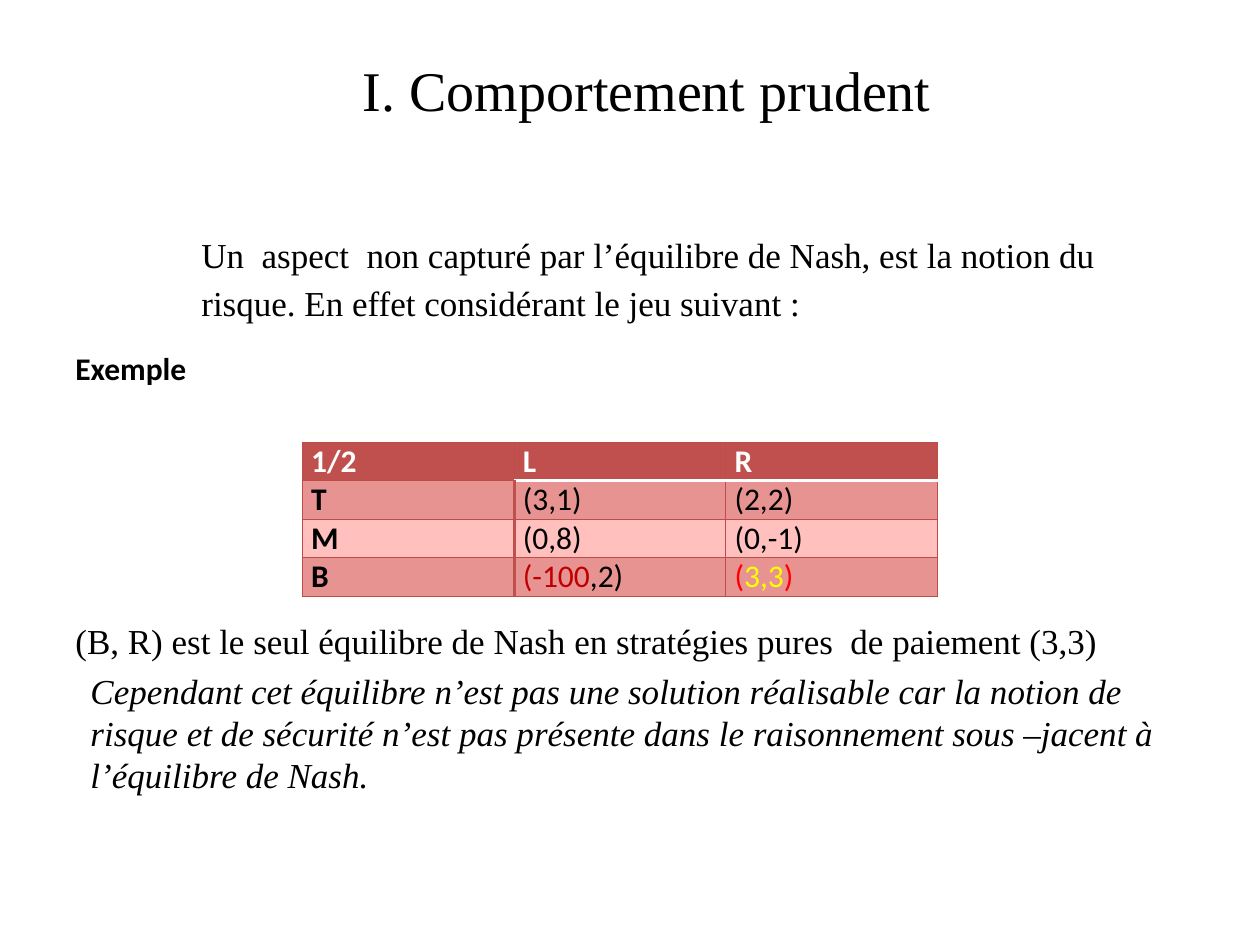
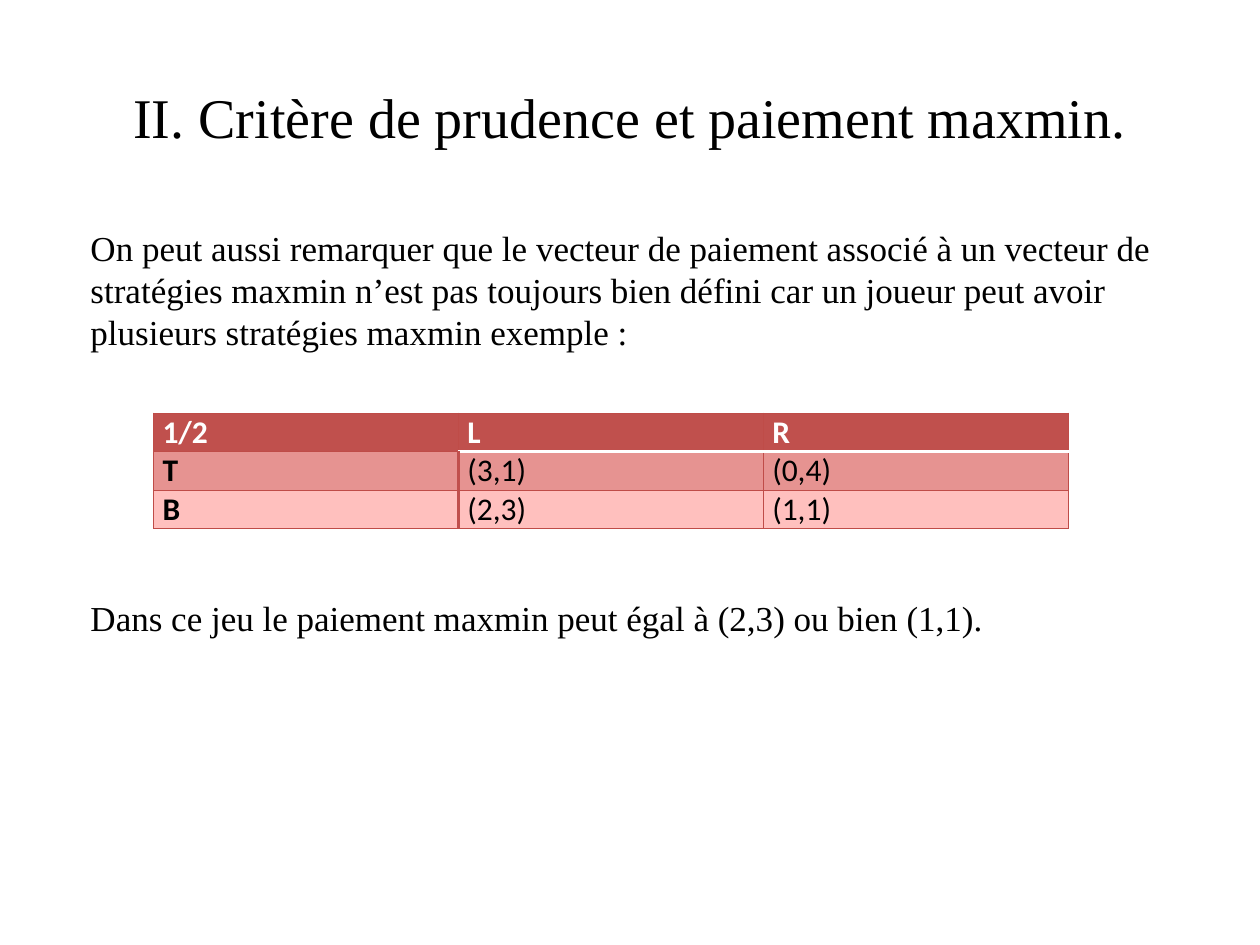
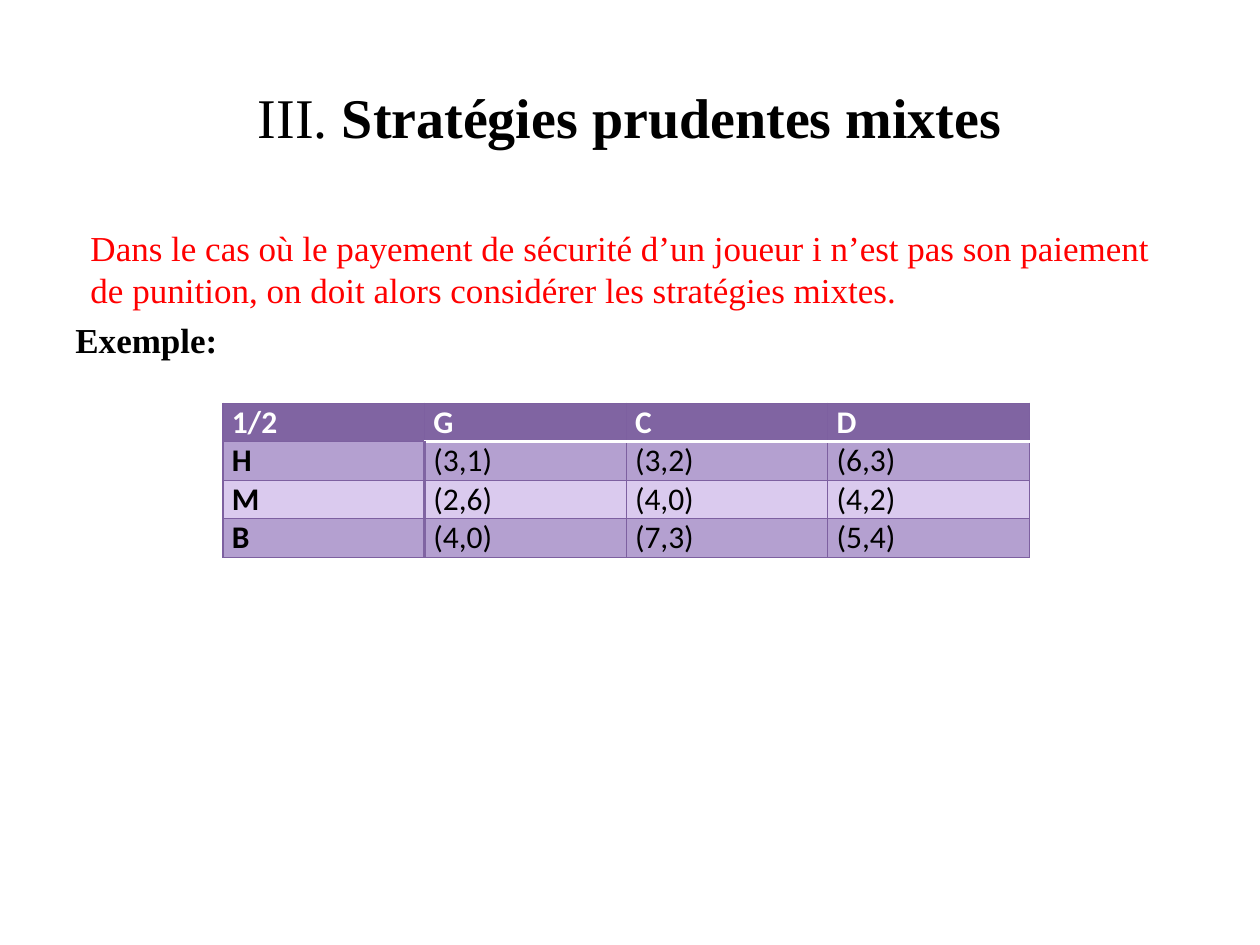
from dataclasses import dataclass

from lxml.etree import SubElement
from pptx import Presentation
from pptx.dml.color import RGBColor
from pptx.enum.text import MSO_ANCHOR as Anchor, MSO_AUTO_SIZE as AutoSize, PP_ALIGN as Align
from pptx.oxml.ns import qn
from pptx.util import Inches, Pt

COLUMNS, ROWS = 100, 75
SLIDE_WIDTH, SLIDE_HEIGHT = Inches(10), Inches(7.5)


@dataclass(frozen=True)
class Palette:
    """Colours of one payoff table."""
    accent: str
    border: str
    dark_band: str
    light_band: str


@dataclass(frozen=True)
class Theme:
    """Fonts, type sizes and colours shared by the slides."""
    serif: str = "Times New Roman"
    sans: str = "Calibri"
    title_size: int = 32
    body_size: int = 20
    table_size: int = 18
    black: str = "000000"
    white: str = "FFFFFF"
    red: str = "FF0000"
    dark_red: str = "C00000"
    yellow: str = "FFFF00"
    crimson: Palette = Palette("C0504D", "BF4C48", "E69391", "FFC0BE")
    violet: Palette = Palette("8064A2", "7D60A0", "B4A0D0", "DACAEE")


THEME = Theme()


@dataclass(frozen=True)
class Box:
    """A rectangle in grid columns and rows."""
    left: float
    top: float
    width: float
    height: float

    def place(self):
        """Return left, top, width and height as slide lengths."""
        column, row = SLIDE_WIDTH / COLUMNS, SLIDE_HEIGHT / ROWS
        return (int(self.left * column), int(self.top * row),
                int(self.width * column), int(self.height * row))


@dataclass(frozen=True)
class Words:
    """A run of text with its look."""
    text: str
    color: str = THEME.black
    bold: bool = False
    italic: bool = False
    font: str = THEME.serif
    size: int = THEME.body_size


@dataclass(frozen=True)
class Block:
    """A body paragraph with its indent in columns and spacing in points."""
    words: Words
    indent: float = 1.2
    before: float = 4.6
    after: float = 0
    line: float = 1


TITLE_BOX = Box(5, 3, 90, 12.5)
BODY_BOX = Box(5, 17.5, 90, 49.5)


def add_words(paragraph, words):
    """Append one formatted run to a paragraph."""
    run = paragraph.add_run()
    run.text = words.text
    font = run.font
    font.name, font.size = words.font, Pt(words.size)
    font.bold, font.italic = words.bold, words.italic
    font.color.rgb = RGBColor.from_string(words.color)


def indent_paragraph(paragraph, columns):
    """Set the left indent of a whole paragraph."""
    properties = paragraph._p.get_or_add_pPr()
    properties.set("marL", str(int(columns * SLIDE_WIDTH / COLUMNS)))
    properties.set("indent", "0")


def add_title(slide, box, parts, indent=0, lift=0):
    """Format the title placeholder, shifted right and up by grid units."""
    title = slide.shapes.title
    title.left, title.top, title.width, title.height = box.place()
    frame = title.text_frame
    frame.auto_size, frame.vertical_anchor = AutoSize.NONE, Anchor.MIDDLE
    frame.margin_bottom = int((0.5 + 2 * lift) * SLIDE_HEIGHT / ROWS)
    paragraph = frame.paragraphs[0]
    paragraph.alignment = Align.CENTER
    indent_paragraph(paragraph, 2 * indent)
    for text, bold in parts:
        add_words(paragraph, Words(text, bold=bold, size=THEME.title_size))


def add_body(slide, box, blocks):
    """Write the body paragraphs in one text box."""
    frame = slide.shapes.add_textbox(*box.place()).text_frame
    frame.word_wrap, frame.auto_size = True, AutoSize.NONE
    for index, block in enumerate(blocks):
        paragraph = frame.add_paragraph() if index else frame.paragraphs[0]
        indent_paragraph(paragraph, block.indent)
        paragraph.space_before, paragraph.space_after = Pt(block.before), Pt(block.after)
        paragraph.line_spacing = block.line
        add_words(paragraph, block.words)


def draw_border(cell, side, color, width):
    """Draw one side of a cell."""
    line = SubElement(cell._tc.get_or_add_tcPr(), qn(f"a:ln{side}"), w=str(Pt(width)))
    SubElement(SubElement(line, qn("a:solidFill")), qn("a:srgbClr"), val=color)


def draw_borders(cell, row, column, palette):
    """Draw thin borders, with thick rules under the header and beside the labels."""
    thin, beside, under = (palette.border, 0.75), (palette.accent, 2), (THEME.white, 2)
    draw_border(cell, "L", *(beside if row and column == 1 else thin))
    draw_border(cell, "R", *(beside if row and column == 0 else thin))
    draw_border(cell, "T", *(under if row == 1 and column else thin))
    draw_border(cell, "B", *(under if row == 0 and column else thin))


def add_payoffs(slide, box, rows, palette):
    """Add a payoff table whose columns and rows share the box equally."""
    table = slide.shapes.add_table(len(rows), len(rows[0]), *box.place()).table
    for row, values in enumerate(rows):
        band = palette.dark_band if row % 2 else palette.light_band
        for column, value in enumerate(values):
            cell = table.cell(row, column)
            cell.margin_left = cell.margin_right = Inches(0.07)
            cell.margin_top = cell.margin_bottom = 0
            draw_borders(cell, row, column, palette)
            cell.fill.solid()
            cell.fill.fore_color.rgb = RGBColor.from_string(band if row else palette.accent)
            parts = [(value, THEME.black)] if isinstance(value, str) else value
            for text, color in parts:
                add_words(cell.text_frame.paragraphs[0],
                          Words(text, color if row else THEME.white, not (row and column),
                                font=THEME.sans, size=THEME.table_size))


def add_prudence_slide(slide):
    """Show the game whose equilibrium ignores risk."""
    add_title(slide, TITLE_BOX, [("I. Comportement prudent", False)], indent=1.35, lift=2.2)
    add_body(slide, BODY_BOX, [
        Block(Words("Un  aspect  non capturé par l’équilibre de Nash, est la notion du risque. "
                    "En effet considérant le jeu suivant\u00a0:"), indent=10, after=10, line=1.15),
        Block(Words("Exemple", bold=True, font=THEME.sans, size=18), indent=0),
        Block(Words("(B, R) est le seul équilibre de Nash en stratégies pures  de paiement (3,3)"),
              indent=0, before=133),
        Block(Words("Cependant cet équilibre n’est pas une solution réalisable car la notion de "
                    "risque et de sécurité n’est pas présente dans le raisonnement sous –jacent à "
                    "l’équilibre de Nash.", italic=True)),
    ])
    add_payoffs(slide, Box(24, 35.1, 50.4, 12), [
        ["1/2", "L", "R"],
        ["T", "(3,1)", "(2,2)"],
        ["M", "(0,8)", "(0,-1)"],
        ["B", [("(-100", THEME.dark_red), (",2)", THEME.black)],
         [("(", THEME.red), ("3,3", THEME.yellow), (")", THEME.red)]],
    ], THEME.crimson)


def add_maxmin_slide(slide):
    """Show the game with several maxmin payoffs."""
    add_title(slide, TITLE_BOX, [("II. Critère de prudence et paiement maxmin.", False)])
    add_body(slide, BODY_BOX, [
        Block(Words("On peut aussi remarquer que le vecteur de paiement associé à un vecteur de "
                    "stratégies maxmin n’est pas toujours bien défini car un joueur peut avoir "
                    "plusieurs stratégies maxmin exemple\u00a0:")),
        Block(Words("Dans ce jeu le paiement maxmin peut égal à (2,3) ou bien (1,1)."),
              before=139),
    ])
    add_payoffs(slide, Box(12.2, 32.8, 72.6, 9), [
        ["1/2", "L", "R"],
        ["T", "(3,1)", "(0,4)"],
        ["B", "(2,3)", "(1,1)"],
    ], THEME.crimson)


def add_mixed_slide(slide):
    """Show the game that calls for mixed strategies."""
    add_title(slide, TITLE_BOX, [("III. ", False), ("Stratégies prudentes mixtes", True)])
    add_body(slide, BODY_BOX, [
        Block(Words("Dans le cas où le payement de sécurité d’un joueur i n’est pas son paiement "
                    "de punition, on doit alors considérer les stratégies mixtes.", THEME.red)),
        Block(Words("Exemple:", bold=True), indent=0),
    ])
    add_payoffs(slide, Box(17.7, 32, 64, 12), [
        ["1/2", "G", "C", "D"],
        ["H", "(3,1)", "(3,2)", "(6,3)"],
        ["M", "(2,6)", "(4,0)", "(4,2)"],
        ["B", "(4,0)", "(7,3)", "(5,4)"],
    ], THEME.violet)


def main():
    """Build the three slides and save them."""
    presentation = Presentation()
    presentation.slide_width, presentation.slide_height = SLIDE_WIDTH, SLIDE_HEIGHT
    title_only = presentation.slide_layouts[5]
    for fill_slide in (add_prudence_slide, add_maxmin_slide, add_mixed_slide):
        fill_slide(presentation.slides.add_slide(title_only))
    presentation.save("out.pptx")


if __name__ == "__main__":
    main()
